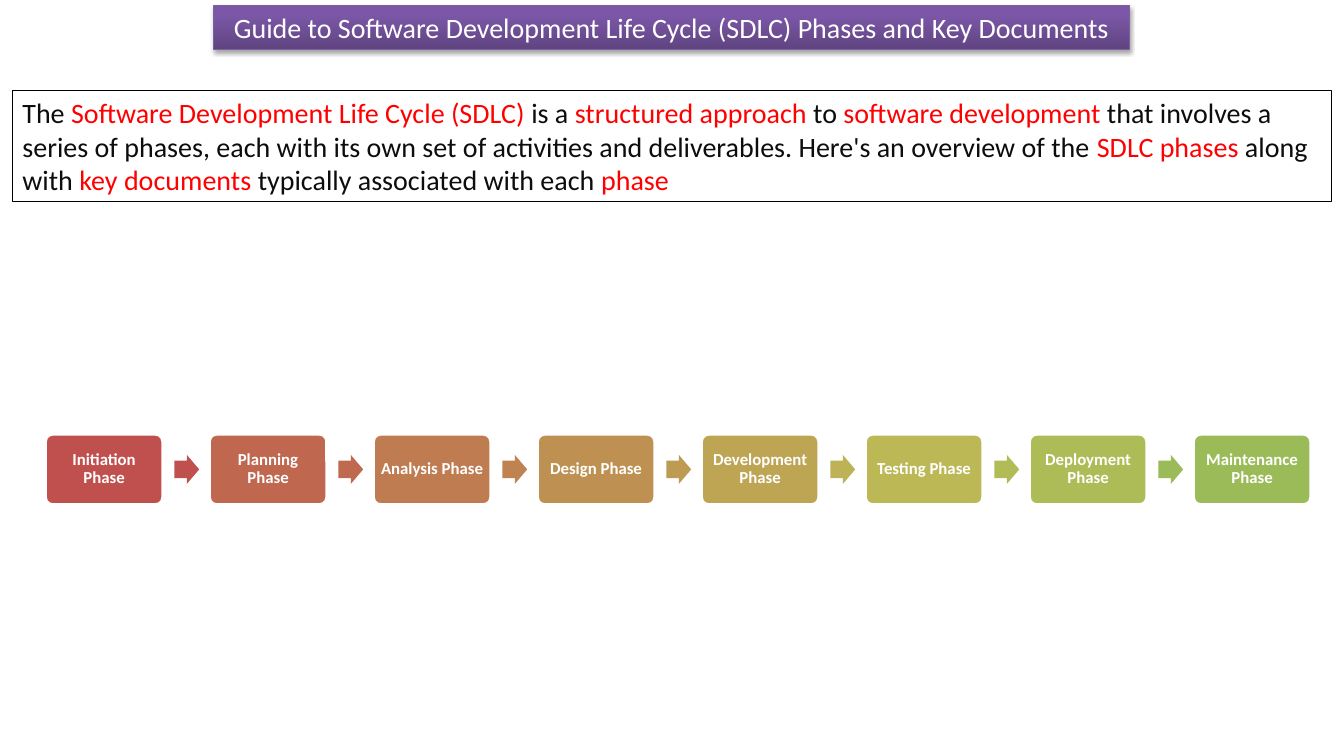
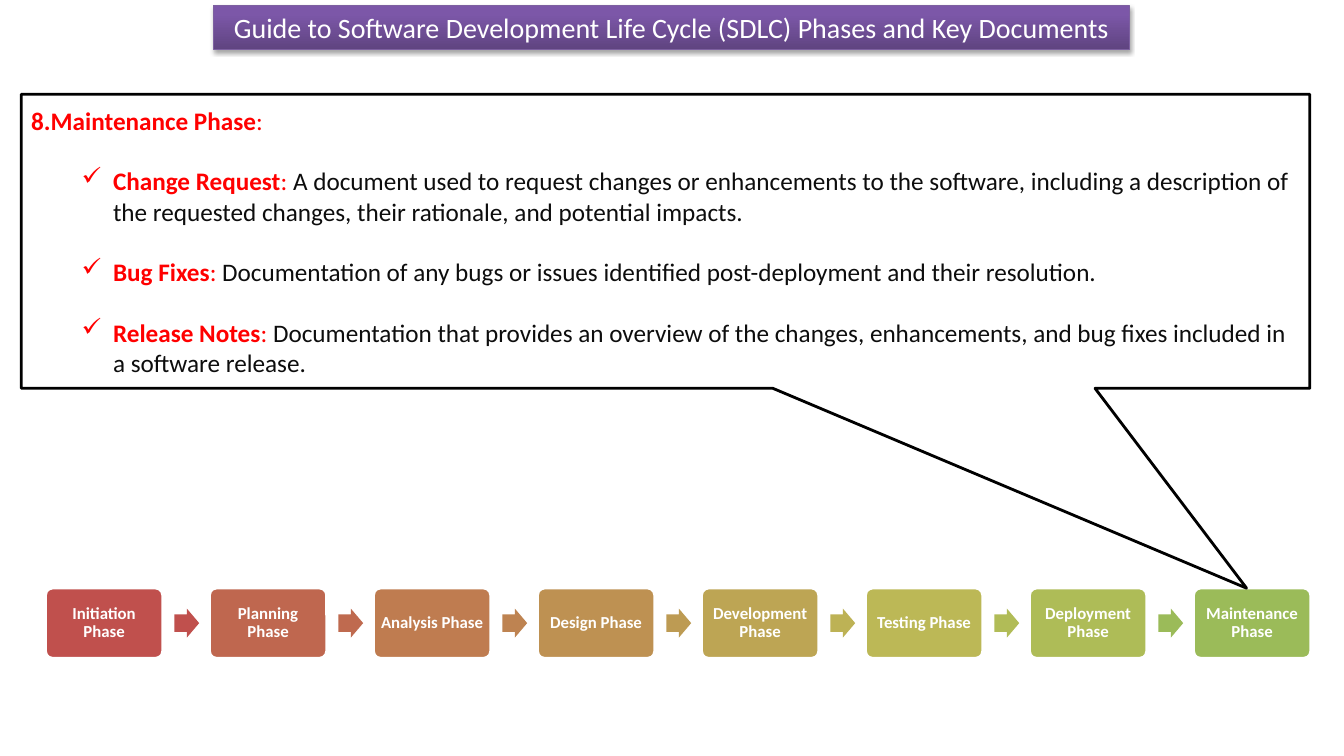
from lxml import etree
from pptx import Presentation
from pptx.dml.color import RGBColor as Rgb
from pptx.enum.shapes import MSO_SHAPE as Kind
from pptx.enum.text import MSO_ANCHOR as Anchor, MSO_AUTO_SIZE as Fit, PP_ALIGN as Align
from pptx.oxml.ns import qn
from pptx.util import Pt

FONT = "Calibri"
TITLE = "Guide to Software Development Life Cycle (SDLC) Phases and Key Documents"
HEX = {
    "white": "FFFFFF", "black": "000000", "ink": "0D0D0D", "red": "FF0000",
    "band low": "5F4480", "band top": "7C57A8", "band edge": "7D60A0",
}
# Phase name, box colour, colour of the arrow that follows
PHASES = [
    ("Initiation", "C0504D", "C0504D"),
    ("Planning", "BF674F", "BF6A4F"),
    ("Analysis", "BF7C50", "BE8351"),
    ("Design", "BE9152", "BD9B53"),
    ("Development", "BDA554", "BDB255"),
    ("Testing", "BCB856", "B1BC57"),
    ("Deployment", "AEBC57", "9BBB59"),
    ("Maintenance", "9BBB59", None),
]
INTRO = (
    "The *Software Development Life Cycle (SDLC) *is a *structured approach* to "
    "*software development *that involves a series of phases, each with its own set "
    "of activities and deliverables. Here's an overview of the *SDLC phases* along "
    "with *key documents *typically associated with each *phase"
)
PAPERS = [
    ("Change Request", "A document used to request changes or enhancements to the "
     "software, including a description of the requested changes, their rationale, "
     "and potential impacts."),
    ("Bug Fixes", "Documentation of any bugs or issues identified post-deployment "
     "and their resolution."),
    ("Release Notes", "Documentation that provides an overview of the changes, "
     "enhancements, and bug fixes included in a software release."),
]


def rgb(name):
    return Rgb.from_string(HEX.get(name, name))


def style(para, size, color=None, bold=None):
    font = para.font
    font.name, font.size, font.bold = FONT, Pt(size), bold
    if color:
        font.color.rgb = rgb(color)


def add_run(para, text, color, bold=None):
    run = para.add_run()
    run.text = text
    run.font.color.rgb = rgb(color)
    run.font.bold = bold


def add_box(shapes, kind, at, fill, line=None, width=1, adj=()):
    box = shapes.add_shape(kind, *map(Pt, at))
    box.shadow.inherit = False
    box.fill.solid()
    box.fill.fore_color.rgb = rgb(fill)
    if line:
        box.line.color.rgb = rgb(line)
        box.line.width = Pt(width)
    else:
        box.line.fill.background()
    for i, value in enumerate(adj):
        box.adjustments[i] = value
    box.text_frame.word_wrap = True
    return box


def add_shadow(shape):
    shape.shadow.inherit = False
    effects = shape.element.spPr.find(qn("a:effectLst"))
    outer = etree.SubElement(effects, qn("a:outerShdw"), blurRad=str(Pt(3.1)),
                             dist=str(Pt(1.8)), dir="5400000", rotWithShape="0")
    color = etree.SubElement(outer, qn("a:srgbClr"), val=HEX["black"])
    etree.SubElement(color, qn("a:alpha"), val="35000")


def add_check(para):
    props = para._p.get_or_add_pPr()
    props.set("marL", str(Pt(58.5)))
    props.set("indent", str(Pt(-22.5)))
    etree.SubElement(props, qn("a:buChar"), char="✓")


def add_slide(deck):
    """Add a slide with the shared title band."""
    slide = deck.slides.add_slide(deck.slide_layouts[5])
    title = slide.shapes.title
    title.left, title.top, title.width, title.height = map(Pt, (152.8, 4, 653.8, 31.5))
    title.fill.gradient()
    title.fill.gradient_angle = 90
    stops = title.fill.gradient_stops
    for stop, place, name in zip(stops, (0, 0.8), ("band low", "band top")):
        stop.position = place
        stop.color.rgb = rgb(name)
    title.line.color.rgb = rgb("band edge")
    title.line.width = Pt(0.75)
    add_shadow(title)
    frame = title.text_frame
    frame.text = TITLE
    frame.auto_size, frame.vertical_anchor = Fit.NONE, Anchor.MIDDLE
    para = frame.paragraphs[0]
    para.alignment = Align.CENTER
    style(para, 20, "white")
    return slide


def add_flow(slide, top):
    """Draw the row of phases, joined by block arrows."""
    left, pitch, wide, high = 32.5, 117.15, 83.7, 50.2
    shift, span, tall = 92.1, 17.7, 20.8
    shapes = slide.shapes.add_group_shape().shapes
    for i, (name, fill, next_fill) in enumerate(PHASES):
        x = left + i * pitch
        box = add_box(shapes, Kind.ROUNDED_RECTANGLE, (x, top, wide, high),
                      fill, "white", 2, [0.1])
        frame = box.text_frame
        frame.margin_left = frame.margin_right = Pt(3.6)
        frame.margin_top = frame.margin_bottom = Pt(3.6)
        para = frame.paragraphs[0]
        para.text = f"{name} Phase"
        para.alignment, para.line_spacing = Align.CENTER, 0.9
        style(para, 12, "white", True)
        if next_fill:
            add_box(shapes, Kind.RIGHT_ARROW,
                    (x + shift, top + (high - tall) / 2, span, tall),
                    next_fill, adj=[0.6, 0.5])


def add_intro(slide):
    box = add_box(slide.shapes, Kind.RECTANGLE, (8.9, 64.4, 941.8, 79.6),
                  "white", "black", 0.25)
    para = box.text_frame.paragraphs[0]
    para.alignment = Align.LEFT
    style(para, 20)
    for i, text in enumerate(INTRO.split("*")):
        add_run(para, text, "red" if i % 2 else "ink")


def add_callout(slide):
    box = add_box(slide.shapes, Kind.RECTANGULAR_CALLOUT, (15.2, 67.4, 920.4, 210),
                  "white", "black", 2, [0.451, 1.18])
    frame = box.text_frame
    frame.vertical_anchor = Anchor.MIDDLE
    for i, (term, text) in enumerate([("8.Maintenance Phase", "")] + PAPERS):
        para = frame.add_paragraph() if i else frame.paragraphs[0]
        para.alignment = Align.LEFT
        if i:
            add_check(para)
            para.space_before = Pt(21.6)
        style(para, 18)
        add_run(para, term, "red", True)
        add_run(para, ": " if text else ":", "red")
        if text:
            add_run(para, text, "ink")


def main():
    deck = Presentation()
    deck.slide_width, deck.slide_height = Pt(960), Pt(540)
    first = add_slide(deck)
    add_intro(first)
    add_flow(first, 310.2)
    second = add_slide(deck)
    add_flow(second, 420)
    add_callout(second)
    deck.save("out.pptx")


if __name__ == "__main__":
    main()
